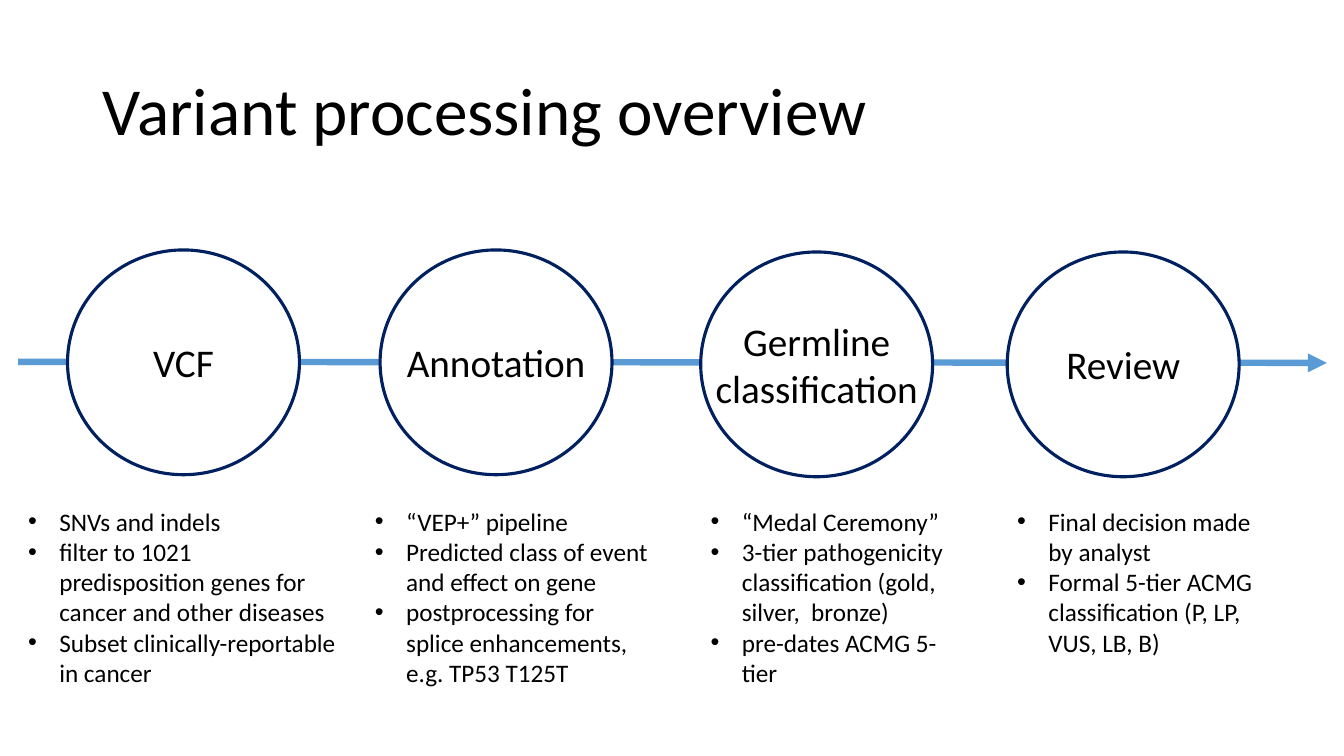
from dataclasses import dataclass

from lxml.etree import SubElement
from pptx import Presentation
from pptx.dml.color import RGBColor
from pptx.enum.shapes import MSO_CONNECTOR as Connector, MSO_SHAPE as Shape
from pptx.enum.text import MSO_ANCHOR as Anchor, MSO_AUTO_SIZE as AutoSize, PP_ALIGN as Align
from pptx.oxml.ns import qn
from pptx.util import Inches, Pt

TITLE = "Variant processing overview"
STAGES = [
    {"label": ["VCF"], "label_width": 0.81, "circle": (0.67, 2.48), "list": (0.18, 3.29),
     "points": ["SNVs and indels",
                "filter to 1021 predisposition genes for cancer and other diseases",
                "Subset clinically-reportable in cancer"]},
    {"label": ["Annotation"], "label_width": 2, "circle": (3.77, 2.48), "list": (3.62, 2.99),
     "points": ["“VEP+” pipeline",
                "Predicted class of event and effect on gene",
                "postprocessing for splice enhancements, e.g. TP53 T125T"]},
    {"label": ["Germline", "classification"], "label_width": 2.23, "circle": (6.95, 2.5),
     "list": (6.95, 2.7),
     "points": ["“Medal Ceremony”",
                "3-tier pathogenicity classification (gold, silver,  bronze)",
                "pre-dates ACMG 5-tier"]},
    {"label": ["Review"], "label_width": 1.34, "circle": (9.99, 2.5), "list": (9.99, 2.57),
     "points": ["Final decision made by analyst",
                "Formal 5-tier ACMG classification (P, LP, VUS, LB, B)"]},
]
CIRCLE_WIDTH, CIRCLE_HEIGHT = 2.3, 2.23
LINE_HEIGHT, LABEL_PADDING = 0.47, 0.1
LIST_TOP, LIST_HEIGHT, BULLET_INDENT = 4.97, 1.92, 0.31
ARROW = (0.18, 3.59, 13.16, 3.6)


@dataclass(frozen=True)
class Theme:
    font: str = "Calibri"
    text: RGBColor = RGBColor.from_string("000000")
    paper: RGBColor = RGBColor.from_string("FFFFFF")
    outline: RGBColor = RGBColor.from_string("002060")
    arrow: RGBColor = RGBColor.from_string("5B9BD5")
    title_size: int = 48
    label_size: int = 28
    list_size: int = 18


THEME = Theme()


def write(text_frame, lines, size, align):
    text_frame.text = "\n".join(lines)
    for paragraph in text_frame.paragraphs:
        paragraph.alignment = align
        for run in paragraph.runs:
            run.font.name = THEME.font
            run.font.size = Pt(size)
            run.font.color.rgb = THEME.text


def add_title(slide):
    title = slide.shapes.title
    title.left, title.top, title.width, title.height = map(Inches, (0.92, 0.4, 11.5, 1.45))
    text_frame = title.text_frame
    write(text_frame, [TITLE], THEME.title_size, Align.LEFT)
    text_frame.vertical_anchor = Anchor.MIDDLE
    text_frame.auto_size = AutoSize.NONE
    text_frame.paragraphs[0].line_spacing = 0.9


def add_arrow(slide):
    arrow = slide.shapes.add_connector(Connector.STRAIGHT, *map(Inches, ARROW))
    arrow.line.color.rgb = THEME.arrow
    arrow.line.width = Pt(4.5)
    SubElement(arrow.line._get_or_add_ln(), qn("a:tailEnd"), type="triangle")
    SubElement(arrow._element.spPr, qn("a:effectLst"))


def add_bullet(paragraph):
    properties = paragraph._p.get_or_add_pPr()
    properties.set("marL", str(Inches(BULLET_INDENT)))
    properties.set("indent", str(-Inches(BULLET_INDENT)))
    SubElement(properties, qn("a:buFont"), typeface="Arial")
    SubElement(properties, qn("a:buChar"), char="•")


def add_stage(slide, stage):
    shapes = slide.shapes.add_group_shape().shapes
    left, top = stage["circle"]
    circle = shapes.add_shape(
        Shape.OVAL, *map(Inches, (left, top, CIRCLE_WIDTH, CIRCLE_HEIGHT)))
    circle.shadow.inherit = False
    circle.fill.solid()
    circle.fill.fore_color.rgb = THEME.paper
    circle.line.color.rgb = THEME.outline
    circle.line.width = Pt(2.25)

    width = stage["label_width"]
    height = LINE_HEIGHT * len(stage["label"]) + LABEL_PADDING
    label_left = left + (CIRCLE_WIDTH - width) / 2
    label_top = top + (CIRCLE_HEIGHT - height) / 2
    label = shapes.add_textbox(*map(Inches, (label_left, label_top, width, height)))
    label.text_frame.word_wrap = False
    label.text_frame.auto_size = AutoSize.SHAPE_TO_FIT_TEXT
    write(label.text_frame, stage["label"], THEME.label_size, Align.CENTER)

    list_left, list_width = stage["list"]
    details = shapes.add_textbox(
        *map(Inches, (list_left, LIST_TOP, list_width, LIST_HEIGHT)))
    details.text_frame.word_wrap = True
    write(details.text_frame, stage["points"], THEME.list_size, Align.LEFT)
    for paragraph in details.text_frame.paragraphs:
        add_bullet(paragraph)


def main():
    """Build the variant processing slide and save it."""
    presentation = Presentation()
    presentation.slide_width, presentation.slide_height = Inches(13.33), Inches(7.5)
    slide = presentation.slides.add_slide(presentation.slide_layouts.get_by_name("Title Only"))
    add_arrow(slide)
    add_title(slide)
    for stage in STAGES:
        add_stage(slide, stage)
    presentation.save("out.pptx")


if __name__ == "__main__":
    main()
